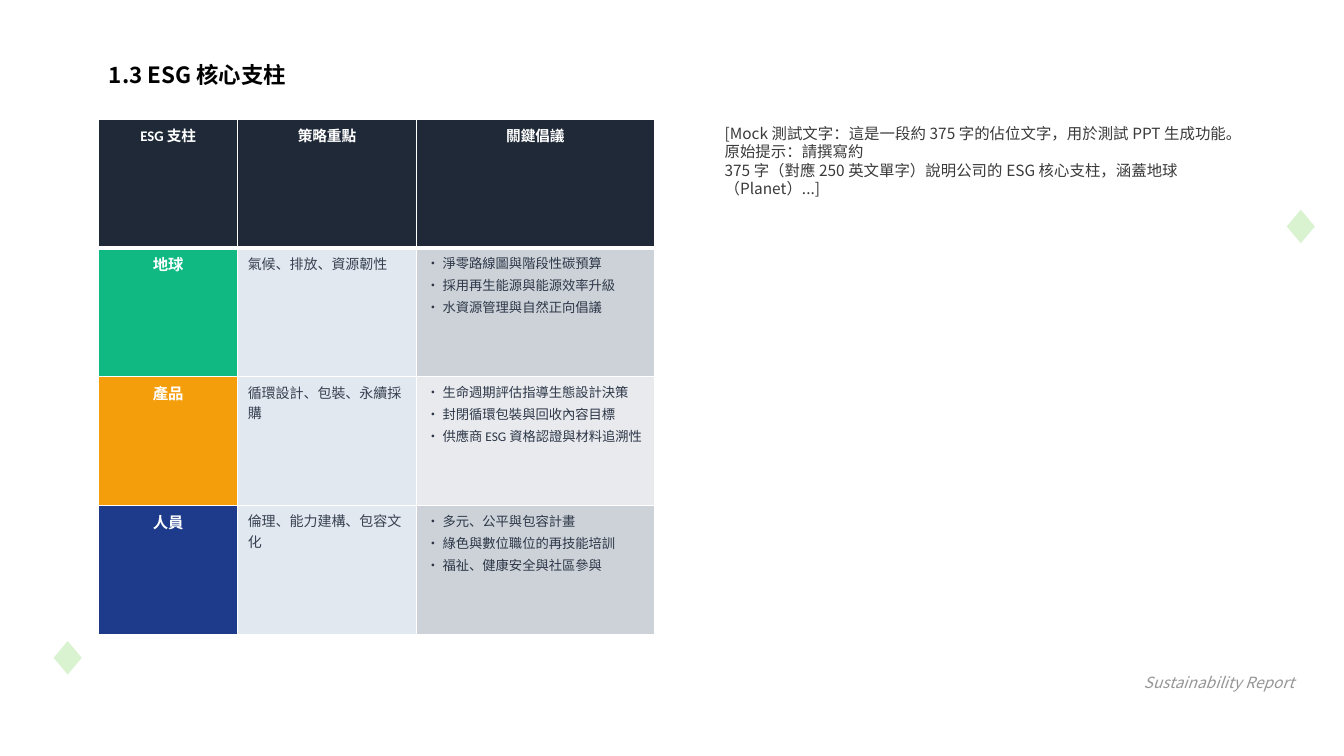
from dataclasses import dataclass

from lxml import etree
from pptx import Presentation
from pptx.dml.color import RGBColor
from pptx.enum.shapes import MSO_SHAPE
from pptx.enum.text import MSO_ANCHOR, MSO_AUTO_SIZE, PP_ALIGN
from pptx.oxml.ns import qn
from pptx.util import Pt

ARC, DIAMOND = MSO_SHAPE.ARC, MSO_SHAPE.DIAMOND
LEFT, CENTER, RIGHT = PP_ALIGN.LEFT, PP_ALIGN.CENTER, PP_ALIGN.RIGHT
TOP = MSO_ANCHOR.TOP
GROW = MSO_AUTO_SIZE.SHAPE_TO_FIT_TEXT

TITLE = "1.3 ESG 核心支柱"
HEADERS = ["ESG 支柱", "策略重點", "關鍵倡議"]
PILLARS = [  # name, focus, initiatives, pillar colour, initiatives colour
    ("地球", "氣候、排放、資源韌性",
     ["淨零路線圖與階段性碳預算", "採用再生能源與能源效率升級", "水資源管理與自然正向倡議"],
     "10B981", "CCD2D8"),
    ("產品", "循環設計、包裝、永續採購",
     ["生命週期評估指導生態設計決策", "封閉循環包裝與回收內容目標", "供應商 ESG 資格認證與材料追溯性"],
     "F59E0B", "E8EAED"),
    ("人員", "倫理、能力建構、包容文化",
     ["多元、公平與包容計畫", "綠色與數位職位的再技能培訓", "福祉、健康安全與社區參與"],
     "1E3A8A", "CCD2D8"),
]
BODY = [
    "[Mock 測試文字：這是一段約 375 字的佔位文字，用於測試 PPT 生成功能。原始提示：請撰寫約",
    "375 字（對應 250 英文單字）說明公司的 ESG 核心支柱，涵蓋地球（Planet）...]",
]
FOOTER = "Sustainability Report"

MARGIN, CONTENT_TOP = 70.6, 85
COLUMN_WIDTHS = [99.2, 127.6, 170.1]
ROW_HEIGHT = 92.1
DIAMONDS = [(918, 148.5), (37.2, 456.6)]


@dataclass(frozen=True)
class Theme:
    font: str = "Noto Sans CJK TC"
    table_font: str = "Calibri"
    white: str = "FFFFFF"
    title: str = "000000"
    body: str = "3A3A3A"
    footer: str = "969696"
    leaf: str = "D9F2D0"
    header: str = "1F2937"
    focus_fill: str = "E2E8F0"
    focus: str = "374151"
    initiative: str = "2D3748"
    title_size: float = 16
    text_size: float = 11
    header_size: float = 10.5
    focus_size: float = 10
    initiative_size: float = 9.5


THEME = Theme()


def rgb(value):
    return RGBColor.from_string(value)


def write(tf, lines, font, size, color, bold=False, italic=False, align=LEFT, after=None):
    tf.text = "\n".join(lines)
    for p in tf.paragraphs:
        p.alignment = align
        if after is not None:
            p.space_after = Pt(after)
        for r in p.runs:
            r.font.name, r.font.size = font, Pt(size)
            r.font.bold, r.font.italic = bold, italic
            r.font.color.rgb = rgb(color)
            if font == THEME.font:
                east_asian = etree.SubElement(r.font._element, qn("a:ea"))
                east_asian.set("typeface", font)


def add_text(s, box, lines, color, wrap, **style):
    tf = s.shapes.add_textbox(*map(Pt, box)).text_frame
    tf.word_wrap = wrap
    tf.auto_size = GROW
    write(tf, lines, THEME.font, THEME.text_size, color, **style)


def set_borders(cell, bottom):
    """Draw white cell borders, 1 pt except for the bottom one."""
    tcPr = cell._tc.get_or_add_tcPr()
    for i, (side, width) in enumerate(zip("LRTB", (1, 1, 1, bottom))):
        ln = etree.Element(qn(f"a:ln{side}"), w=str(Pt(width)))
        fill = etree.SubElement(ln, qn("a:solidFill"))
        etree.SubElement(fill, qn("a:srgbClr"), val=THEME.white)
        tcPr.insert(i, ln)


def fill_cell(cell, lines, fill, size, color, bottom=1, **style):
    cell.fill.solid()
    cell.fill.fore_color.rgb = rgb(fill)
    set_borders(cell, bottom)
    write(cell.text_frame, lines, THEME.table_font, size, color, after=2, **style)


def add_decoration(s):
    arc = s.shapes.add_shape(ARC, Pt(784.8), Pt(-243.4), Pt(288), Pt(357.8))
    arc.shadow.inherit = False
    arc.rotation = 151.3
    for i, degrees in enumerate((152.05, 215.37)):
        arc.adjustments[i] = degrees * 0.6  # 60000 units a degree, scaled by 100000
    arc.fill.background()
    arc.line.width = Pt(46.25)
    arc.line.color.rgb = rgb(THEME.leaf)
    color = arc.line._ln.find(".//" + qn("a:srgbClr"))
    etree.SubElement(color, qn("a:alpha"), val="60000")
    for x, y in DIAMONDS:
        diamond = s.shapes.add_shape(DIAMOND, Pt(x), Pt(y), Pt(22.3), Pt(26.6))
        diamond.shadow.inherit = False
        diamond.fill.solid()
        diamond.fill.fore_color.rgb = rgb(THEME.leaf)
        diamond.line.color.rgb = rgb(THEME.white)
        diamond.line.width = Pt(1.5)


def add_title(s):
    title = s.shapes.title
    title.left, title.top, title.width, title.height = map(Pt, (MARGIN, 42.5, 566.6, 104.4))
    tf = title.text_frame
    tf.vertical_anchor = TOP
    write(tf, [TITLE], THEME.font, THEME.title_size, THEME.title, bold=True)
    tf.paragraphs[0].line_spacing = 0.9


def add_pillar_table(s):
    rows = len(PILLARS) + 1
    table = s.shapes.add_table(rows, len(HEADERS), Pt(MARGIN), Pt(CONTENT_TOP),
                               Pt(sum(COLUMN_WIDTHS)), Pt(ROW_HEIGHT * rows)).table
    for column, width in zip(table.columns, COLUMN_WIDTHS):
        column.width = Pt(width)
    for row in table.rows:
        row.height = Pt(ROW_HEIGHT)
    for c, header in enumerate(HEADERS):
        fill_cell(table.cell(0, c), [header], THEME.header, THEME.header_size,
                  THEME.white, bottom=3, bold=True, align=CENTER)
    for r, (name, focus, initiatives, pillar_fill, initiative_fill) in enumerate(PILLARS, 1):
        fill_cell(table.cell(r, 0), [name], pillar_fill, THEME.text_size,
                  THEME.white, bold=True, align=CENTER)
        fill_cell(table.cell(r, 1), [focus], THEME.focus_fill, THEME.focus_size, THEME.focus)
        fill_cell(table.cell(r, 2), [f"• {item}" for item in initiatives],
                  initiative_fill, THEME.initiative_size, THEME.initiative)


def main():
    prs = Presentation()
    prs.slide_width, prs.slide_height = Pt(960), Pt(540)
    s = prs.slides.add_slide(prs.slide_layouts[5])
    add_decoration(s)
    add_title(s)
    add_pillar_table(s)
    add_text(s, (510.5, CONTENT_TOP, 382.3, 425.5), BODY, THEME.body, wrap=True)
    add_text(s, (761.8, 477.4, 169.9, 33.8), [FOOTER], THEME.footer, wrap=False,
             italic=True, align=RIGHT)
    prs.save("out.pptx")


if __name__ == "__main__":
    main()
